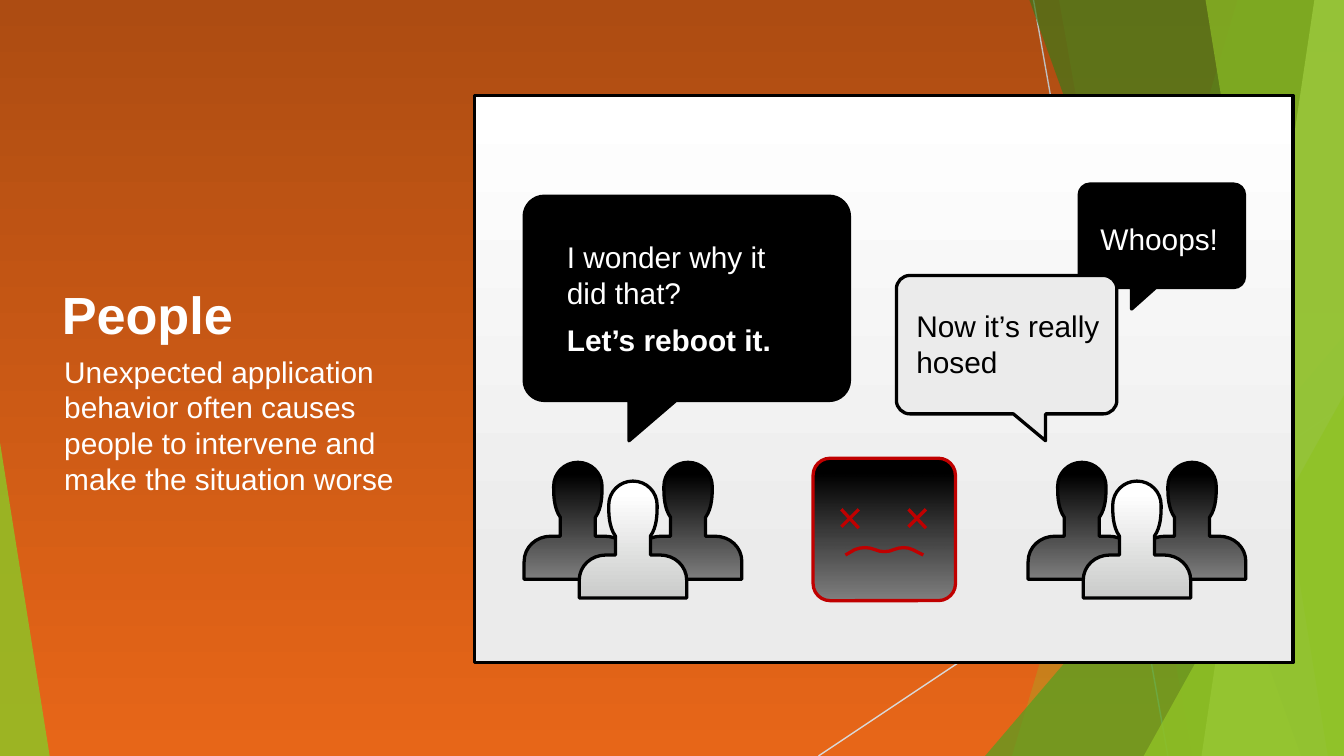
from dataclasses import dataclass

from lxml import etree
from pptx import Presentation
from pptx.dml.color import RGBColor
from pptx.enum.shapes import MSO_CONNECTOR, MSO_SHAPE
from pptx.enum.text import MSO_ANCHOR, PP_ALIGN
from pptx.oxml.ns import qn
from pptx.util import Inches, Pt

STRAIGHT = MSO_CONNECTOR.STRAIGHT
RECTANGLE = MSO_SHAPE.RECTANGLE
ROUNDED = MSO_SHAPE.ROUNDED_RECTANGLE
TRIANGLE = MSO_SHAPE.ISOSCELES_TRIANGLE
TOP, MIDDLE = MSO_ANCHOR.TOP, MSO_ANCHOR.MIDDLE
LEFT = PP_ALIGN.LEFT

BLACK = RGBColor(0x00, 0x00, 0x00)
WHITE = RGBColor(0xFF, 0xFF, 0xFF)
RED = RGBColor(0xC0, 0x00, 0x00)
PALE_GRAY = RGBColor(0xEB, 0xEB, 0xEB)
MID_GRAY = RGBColor(0xCA, 0xCB, 0xCA)
RULE_DARK = RGBColor(0xBF, 0xBF, 0xBF)
RULE_LIGHT = RGBColor(0xD9, 0xD9, 0xD9)
RUST = RGBColor(0xAD, 0x4C, 0x12)
ORANGE = RGBColor(0xE7, 0x66, 0x18)
LIME = RGBColor(0x90, 0xC2, 0x26)
GREEN = RGBColor(0x54, 0xA0, 0x21)
FOREST = RGBColor(0x3F, 0x78, 0x19)
MINT = RGBColor(0xC0, 0xE4, 0x74)

FONT = "Arial"
WIDTH = 10
HEIGHT = WIDTH * 9 / 16
OUTLINE = 1.75

Point = tuple[float, float]
Segment = tuple[Point, ...]  # one point: straight; three points: cubic curve


@dataclass(frozen=True)
class Gradient:
    start: RGBColor
    end: RGBColor
    start_at: float = 0
    end_at: float = 1
    end_alpha: int = 100


@dataclass(frozen=True)
class Band:
    """A strip that reaches from a slanted left edge to the right slide edge."""
    top_x: float
    bottom_x: float
    color: RGBColor
    alpha: int


@dataclass(frozen=True)
class Wedge:
    """A right triangle standing on the bottom slide edge."""
    left: float
    top: float
    width: float
    apex: float
    color: RGBColor
    alpha: int


@dataclass(frozen=True)
class Span:
    text: str
    bold: bool = False
    before: int = 12


@dataclass(frozen=True)
class Callout:
    left: float
    top: float
    right: float
    bottom: float
    radius: float
    tail: tuple[float, float, float]  # left base, tip and right base
    tip_y: float
    fill: RGBColor
    ink: RGBColor
    text_box: tuple[float, float, float, float]
    spans: tuple[Span, ...]
    boxed: bool = False


SHADE = Gradient(BLACK, BLACK, 0.1, 1, 45)
LIGHT = Gradient(WHITE, MID_GRAY, 0.1)

FACETS = (
    Band(9.21, 7.53, LIME, 30),
    Band(7.88, 8.87, LIME, 20),
    Wedge(7.33, 2.5, 2.67, 1, GREEN, 72),
    Band(7.66, 9.68, FOREST, 70),
    Band(9.78, 8.94, MINT, 70),
    Band(8.97, 9.88, LIME, 65),
    Wedge(8.51, 2.94, 1.49, 1, LIME, 80),
    Wedge(0, 3.29, 0.37, 0, LIME, 85),
)
CALLOUTS = (
    Callout(3.9, 1.46, 6.32, 2.98, 0.15, (4.68, 4.68, 5.03), 3.28, BLACK, WHITE,
            (4.12, 1.73, 2.2, 0.99),
            (Span("I wonder why it\vdid that?"), Span("Let’s reboot it.", True, 6))),
    Callout(8.03, 1.37, 9.26, 2.14, 0.08, (8.42, 8.42, 8.6), 2.3, BLACK, WHITE,
            (8.09, 1.59, 1.17, 0.37), (Span("Whoops!"),)),
    Callout(6.67, 2.05, 8.31, 3.08, 0.1, (7.54, 7.78, 7.78), 3.28, PALE_GRAY, BLACK,
            (6.72, 2.24, 1.57, 0.64), (Span("Now it’s really hosed"),), True),
)
CROWN: Point = (0, 0)
# Right half of a bust, from the crown down, around x = 0
HALF_BUST: tuple[Segment, ...] = (
    ((0.1, 0), (0.18, 0.08), (0.18, 0.18)),
    ((0.18, 0.24), (0.18, 0.34), (0.13, 0.41)),
    ((0.13, 0.46), (0.13, 0.5), (0.13, 0.55)),
    ((0.2, 0.55),),
    ((0.31, 0.55), (0.4, 0.63), (0.4, 0.74)),
    ((0.4, 0.87),),
)
MOUTH: tuple[Segment, ...] = (
    ((6.36, 4.09),),
    ((6.41, 4.07), (6.46, 4.07), (6.51, 4.09)),
    ((6.55, 4.11), (6.61, 4.11), (6.65, 4.09)),
    ((6.7, 4.07), (6.75, 4.07), (6.79, 4.09)),
    ((6.87, 4.13),),
)


def with_mirror(start: Point, half: tuple[Segment, ...]) -> list[Segment]:
    """Extend a right half with its mirrored left half, back up to the start."""
    points = [start] + [point for segment in half for point in segment]
    back = [(-x, y) for x, y in reversed(points)]
    segments = list(half) + [(back.pop(0),)]
    for segment in reversed(half):
        segments.append(tuple(back[:len(segment)]))
        back = back[len(segment):]
    return segments


def set_alpha(color_node, percent: int) -> None:
    etree.SubElement(color_node, qn("a:alpha")).set("val", str(percent * 1000))


def apply_gradient(fill, gradient: Gradient) -> None:
    fill.gradient()
    fill.gradient_angle = 270
    first, last = fill.gradient_stops
    first.color.rgb, first.position = gradient.start, gradient.start_at
    last.color.rgb, last.position = gradient.end, gradient.end_at


def style(shape, fill: RGBColor | Gradient | None, line: RGBColor | None = None,
          alpha: int = 100) -> None:
    shape.shadow.inherit = False
    if fill is None:
        shape.fill.background()
    elif isinstance(fill, Gradient):
        apply_gradient(shape.fill, fill)
        alpha = fill.end_alpha
    else:
        shape.fill.solid()
        shape.fill.fore_color.rgb = fill
    if alpha < 100:
        set_alpha(shape.element.spPr.findall(".//" + qn("a:srgbClr"))[-1], alpha)
    if line is None:
        shape.line.fill.background()
    else:
        shape.line.color.rgb = line
        shape.line.width = Pt(OUTLINE)


def add_outline(shapes, start: Point, segments, close: bool = True):
    """Build a freeform and join each three-point segment into a cubic curve."""
    builder = shapes.build_freeform(*map(Inches, start))
    builder.add_line_segments([(Inches(x), Inches(y)) for segment in segments
                               for x, y in segment], close=close)
    shape = builder.convert_to_shape()
    path = shape.element.spPr.find(".//" + qn("a:path"))
    lines = iter(path.findall(qn("a:lnTo")))
    for segment in segments:
        nodes = [next(lines) for _ in segment]
        if len(nodes) == 3:
            curve = etree.Element(qn("a:cubicBezTo"))
            path.replace(nodes[0], curve)
            for node in nodes:
                curve.append(node[0])
            for node in nodes[1:]:
                path.remove(node)
    return shape


def add_preset(shapes, kind, left: float, top: float, width: float, height: float):
    return shapes.add_shape(kind, Inches(left), Inches(top), Inches(width), Inches(height))


def add_line(shapes, start: Point, end: Point, color: RGBColor, width: float) -> None:
    line = shapes.add_connector(STRAIGHT, *map(Inches, start + end))
    line.line.color.rgb = color
    line.line.width = Pt(width)
    etree.SubElement(line.element.spPr, qn("a:effectLst"))


def write(frame, spans: tuple[Span, ...], size: int, color: RGBColor, anchor=TOP) -> None:
    frame.word_wrap = True
    frame.vertical_anchor = anchor
    for index, span in enumerate(spans):
        para = frame.add_paragraph() if index else frame.paragraphs[0]
        para.alignment = LEFT
        para.space_before = Pt(span.before)
        for part_index, part in enumerate(span.text.split("\v")):
            if part_index:
                para.add_line_break()
            run = para.add_run()
            run.text = part
            run.font.name, run.font.size, run.font.bold = FONT, Pt(size), span.bold
            run.font.color.rgb = color


def add_facet(shapes, facet: Band | Wedge) -> None:
    if isinstance(facet, Band):
        corners = ((WIDTH, 0), (WIDTH, HEIGHT), (facet.bottom_x, HEIGHT))
        shape = add_outline(shapes, (facet.top_x, 0), [(corner,) for corner in corners])
    else:
        shape = add_preset(shapes, TRIANGLE, facet.left, facet.top, facet.width,
                           HEIGHT - facet.top)
        shape.adjustments[0] = facet.apex
    style(shape, facet.color, alpha=facet.alpha)


def add_people(shapes, center: float) -> None:
    bust = with_mirror(CROWN, HALF_BUST)
    for shift, top, fill in ((-0.41, 3.44, SHADE), (0.41, 3.44, SHADE), (0, 3.58, LIGHT)):
        middle = center + shift
        placed = [tuple((middle + x, top + y) for x, y in segment) for segment in bust]
        style(add_outline(shapes, (middle, top), placed), fill, BLACK)


def add_failed_app(shapes) -> None:
    head = add_preset(shapes, ROUNDED, 6.05, 3.41, 1.06, 1.06)
    head.adjustments[0] = 0.12
    style(head, SHADE, RED)
    for left in (6.26, 6.76):
        right = left + 0.13
        add_line(shapes, (left, 3.79), (right, 3.93), RED, OUTLINE)
        add_line(shapes, (right, 3.79), (left, 3.92), RED, OUTLINE)
    style(add_outline(shapes, (6.29, 4.13), MOUTH, close=False), None, RED)


def add_callout(shapes, callout: Callout) -> None:
    left, top, right, bottom = callout.left, callout.top, callout.right, callout.bottom
    r, k = callout.radius, callout.radius * 0.45
    tail_left, tip_x, tail_right = callout.tail
    outline = (
        ((right - r, top),),
        ((right - k, top), (right, top + k), (right, top + r)),
        ((right, bottom - r),),
        ((right, bottom - k), (right - k, bottom), (right - r, bottom)),
        ((tail_right, bottom),), ((tip_x, callout.tip_y),), ((tail_left, bottom),),
        ((left + r, bottom),),
        ((left + k, bottom), (left, bottom - k), (left, bottom - r)),
        ((left, top + r),),
        ((left, top + k), (left + k, top), (left + r, top)),
    )
    style(add_outline(shapes, (left + r, top), outline), callout.fill, BLACK)
    if callout.boxed:
        box = add_preset(shapes, RECTANGLE, *callout.text_box)
        style(box, callout.fill)
    else:
        box = shapes.add_textbox(*map(Inches, callout.text_box))
    write(box.text_frame, callout.spans, 16, callout.ink)


def main() -> None:
    deck = Presentation()
    deck.slide_width, deck.slide_height = Inches(WIDTH), Inches(HEIGHT)
    page = deck.slides.add_slide(deck.slide_layouts[5])
    apply_gradient(page.background.fill, Gradient(RUST, ORANGE))
    shapes = page.shapes

    backdrop = shapes.add_group_shape().shapes
    add_line(backdrop, (7.69, 0), (8.69, HEIGHT), RULE_DARK, 0.75)
    add_line(backdrop, (WIDTH, 3.02), (6.09, HEIGHT), RULE_LIGHT, 0.75)
    for facet in FACETS:
        add_facet(backdrop, facet)

    panel = add_preset(shapes, RECTANGLE, 3.53, 0.71, 6.09, 4.22)
    style(panel, Gradient(WHITE, PALE_GRAY, 0, 0.85), BLACK)
    add_failed_app(shapes.add_group_shape().shapes)
    for center in (4.71, 8.46):
        add_people(shapes.add_group_shape().shapes, center)
    for callout in CALLOUTS:
        add_callout(shapes.add_group_shape().shapes, callout)

    body = shapes.add_textbox(Inches(0.38), Inches(2.58), Inches(2.74), Inches(1.54))
    write(body.text_frame, (Span("Unexpected application behavior often causes people to "
                                 "intervene and make the situation worse", before=6),),
          16, WHITE)
    title = shapes.title
    title.left, title.top = Inches(0.36), Inches(1.56)
    title.width, title.height = Inches(3.6), Inches(1.54)
    write(title.text_frame, (Span("People", True, 0),), 28, WHITE, MIDDLE)
    deck.save("out.pptx")


if __name__ == "__main__":
    main()
